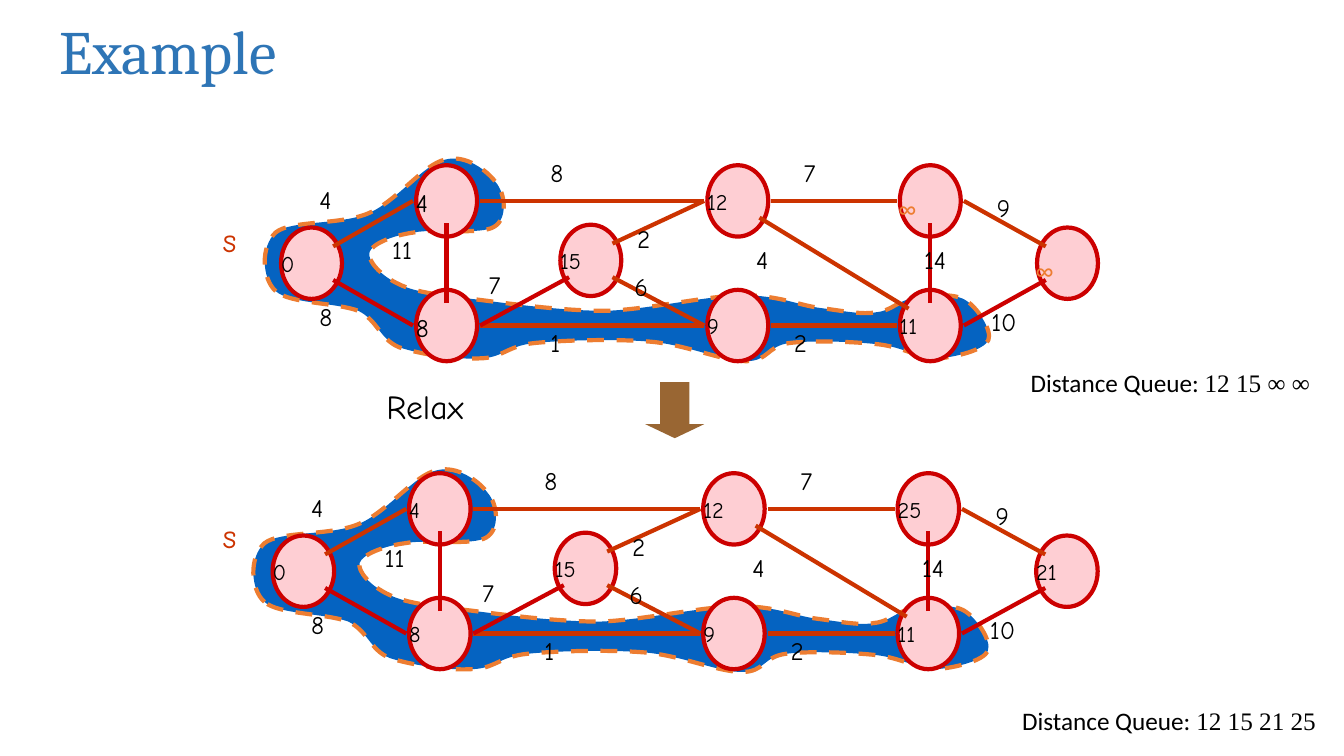
from pptx import Presentation
from pptx import util as u
from pptx.dml.color import RGBColor
from pptx.enum import dml, shapes, text
from pptx.oxml import ns, xmlchemy

COLORS = {
    "title": "2E75B6", "ink": "000000", "node": "FECED3", "outline": "CC0000",
    "edge": "CC3300", "region": "0563C1", "border": "ED7D31", "arrow": "996633",
}
NODE_WIDTH, NODE_HEIGHT = 43.5, 51
NODES = {
    "source": (222.5, 188), "top": (319, 143.5), "bottom": (319, 232.5),
    "inner": (422, 186), "top middle": (527, 143.5), "bottom middle": (527, 232.5),
    "top right": (664.5, 143.5), "bottom right": (664.5, 232.5), "end": (762.5, 188),
}
PORTS = {
    "n": (0, -16), "s": (0, 16), "e": (24, 0), "w": (-24, 0),
    "ne": (15.5, -12), "se": (15.5, 12), "nw": (-15.5, -12), "sw": (-15.5, 12),
}
EDGES = [
    ("source", "ne", "top", "w", "edge"),
    ("bottom", "w", "source", "se", "outline"),
    ("bottom", "n", "top", "s", "outline"),
    ("top middle", "w", "top", "e", "edge"),
    ("bottom middle", "w", "bottom", "e", "edge"),
    ("bottom", "e", "inner", "sw", "outline"),
    ("inner", "ne", "top middle", "w", "edge"),
    ("inner", "se", "bottom middle", "w", "edge"),
    ("top middle", "e", "top right", "w", "edge"),
    ("bottom middle", "e", "bottom right", "w", "edge"),
    ("bottom right", "nw", "top middle", "se", "edge"),
    ("bottom right", "n", "top right", "s", "outline"),
    ("bottom right", "e", "end", "sw", "outline"),
    ("end", "nw", "top right", "e", "edge"),
]
WEIGHTS = [
    ("4", 221, 128), ("8", 221, 212), ("11", 273, 164), ("8", 386, 109),
    ("7", 567, 109), ("9", 705, 134), ("10", 701, 215), ("14", 653, 171),
    ("4", 533, 171), ("2", 560, 230), ("1", 386, 230), ("2", 448, 156),
    ("6", 446, 190), ("7", 342, 189),
]
REGION_START = (197, 208)
REGION_CURVES = [
    (187, 199), (186, 176), (197, 166), (208, 157), (244, 161), (264, 152),
    (284, 143), (303, 117), (318, 114), (333, 110), (348, 122), (354, 130),
    (361, 138), (363, 156), (353, 162), (343, 168), (311, 163), (296, 166),
    (281, 168), (266, 174), (264, 180), (262, 186), (272, 197), (285, 203),
    (297, 209), (316, 211), (341, 214), (365, 217), (401, 222), (433, 222),
    (464, 221), (506, 211), (531, 211), (557, 211), (570, 218), (586, 220),
    (602, 222), (616, 225), (626, 223), (637, 222), (641, 215), (652, 213),
    (662, 211), (680, 209), (689, 214), (698, 219), (709, 236), (706, 243),
    (703, 250), (683, 255), (670, 256), (657, 256), (645, 248), (628, 246),
    (610, 244), (580, 243), (564, 245), (548, 247), (549, 258), (533, 258),
    (516, 258), (490, 246), (464, 244), (439, 242), (402, 243), (382, 245),
    (362, 247), (359, 256), (342, 256), (326, 257), (300, 253), (285, 248),
    (271, 242), (270, 229), (256, 222), (240, 216), (207, 217), REGION_START,
]


class Deck:
    def __init__(self):
        self.presentation = Presentation()
        self.presentation.slide_width = u.Pt(960)
        self.presentation.slide_height = u.Pt(540)
        layout = self.presentation.slide_layouts[5]
        self.slide = self.presentation.slides.add_slide(layout)
        self.shapes = self.slide.shapes

    def color(self, name):
        return RGBColor.from_string(COLORS[name])

    def style(self, font, name, size, color):
        font.name = name
        font.size = u.Pt(size)
        font.color.rgb = self.color(color)

    def paint(self, shape, fill, line=None):
        shape.shadow.inherit = False
        shape.fill.solid()
        shape.fill.fore_color.rgb = self.color(fill)
        if line:
            shape.line.color.rgb = self.color(line)
            shape.line.width = u.Pt(3)
        else:
            shape.line.fill.background()

    def title(self, words):
        shape = self.slide.shapes.title
        shape.left, shape.top = u.Pt(35), u.Pt(3)
        shape.width, shape.height = u.Pt(684), u.Pt(65)
        shape.text_frame.vertical_anchor = text.MSO_ANCHOR.MIDDLE
        shape.text_frame.text = words
        paragraph = shape.text_frame.paragraphs[0]
        paragraph.alignment = text.PP_ALIGN.LEFT
        self.style(paragraph.font, "Cambria", 44, "title")

    def label(self, words, left, top, size=18, color="ink", font="Comic Neue", width=60.5):
        shape = self.shapes.add_textbox(u.Pt(left), u.Pt(top), u.Pt(width), u.Pt(size * 1.6))
        shape.text_frame.word_wrap = True
        paragraph = shape.text_frame.paragraphs[0]
        paragraph.text = words
        self.style(paragraph.font, font, size, color)

    def queue(self, values, left, top, width):
        shape = self.shapes.add_textbox(u.Pt(left), u.Pt(top), u.Pt(width), u.Pt(29))
        shape.text_frame.word_wrap = False
        paragraph = shape.text_frame.paragraphs[0]
        self.style(paragraph.font, "Calibri", 18, "ink")
        for words, font in (("Distance Queue: ", "Calibri"), (values, "Times New Roman")):
            run = paragraph.add_run()
            run.text = words
            run.font.name = font

    def preset(self, kind, left, top, width, height, fill, line=None):
        shape = self.shapes.add_shape(kind, u.Pt(left), u.Pt(top), u.Pt(width), u.Pt(height))
        self.paint(shape, fill, line)
        return shape

    def edge(self, start, end, color):
        points = [u.Pt(value) for value in (*start, *end)]
        connector = self.shapes.add_connector(shapes.MSO_CONNECTOR.STRAIGHT, *points)
        connector.line.color.rgb = self.color(color)
        connector.line.width = u.Pt(3)
        connector._element.spPr.append(xmlchemy.OxmlElement("a:effectLst"))

    def region(self, scale, shift, drop):
        points = [(u.Pt(x * scale + shift), u.Pt(y + drop))
                  for x, y in [REGION_START] + REGION_CURVES]
        builder = self.shapes.build_freeform(*points[0], scale=1.0)
        builder.add_line_segments(points[1:], close=True)
        shape = builder.convert_to_shape()
        outline = shape._element.find(".//" + ns.qn("a:path"))
        segments = outline.findall(ns.qn("a:lnTo"))
        for index in range(0, len(segments), 3):
            curve = xmlchemy.OxmlElement("a:cubicBezTo")
            segments[index].addprevious(curve)
            for segment in segments[index:index + 3]:
                curve.append(segment[0])
                outline.remove(segment)
        self.paint(shape, "region", "border")
        shape.line.dash_style = dml.MSO_LINE.DASH

    def graph(self, distances, region, scale, shift, drop, source_top):
        def place(x, y):
            return x * scale + shift, y + drop

        self.shapes = self.slide.shapes.add_group_shape().shapes
        self.region(*region)
        centers = {name: place(*center) for name, center in NODES.items()}
        width = NODE_WIDTH * scale
        for x, y in centers.values():
            self.preset(shapes.MSO_SHAPE.OVAL, x - width / 2, y - NODE_HEIGHT / 2,
                        width, NODE_HEIGHT, "node", "outline")
        for first, leave, second, arrive, color in EDGES:
            start, end = [
                (centers[name][0] + PORTS[port][0], centers[name][1] + PORTS[port][1])
                for name, port in ((first, leave), (second, arrive))
            ]
            self.edge(start, end, color)
        for weight, left, top in WEIGHTS:
            self.label(weight, *place(left, top))
        for (x, y), (distance, size) in zip(centers.values(), distances):
            if distance == "∞":
                self.label(distance, x - 30, y - 9, size, "border", "Lato")
            else:
                self.label(distance, x - 29, y - 13, size)
        self.label("s", 152, source_top, 24, "edge")
        self.shapes = self.slide.shapes


def main():
    deck = Deck()
    deck.title("Example")
    before = [("0", 16), ("4", 18), ("8", 18), ("15", 16), ("12", 16),
              ("9", 16), ("∞", 18), ("11", 16), ("∞", 18)]
    after = [(value, 16) for value in ("0", "4", "8", "15", "12", "9", "25", "11", "21")]
    deck.graph(before, (1, 0, 0), 1, 0, 0, 153)
    deck.graph(after, (1.015, -11, 222), 1.01, -8, 220, 364)
    arrow = deck.preset(shapes.MSO_SHAPE.DOWN_ARROW, 461, 273, 42, 40, "arrow")
    arrow.adjustments[0], arrow.adjustments[1] = 0.5, 0.25
    deck.label("Relax", 269, 272, 24, width=175)
    deck.queue("12 15 21 25", 723, 500, 226)
    deck.queue("12 15 ∞ ∞", 729, 259, 215)
    deck.presentation.save("out.pptx")


if __name__ == "__main__":
    main()
